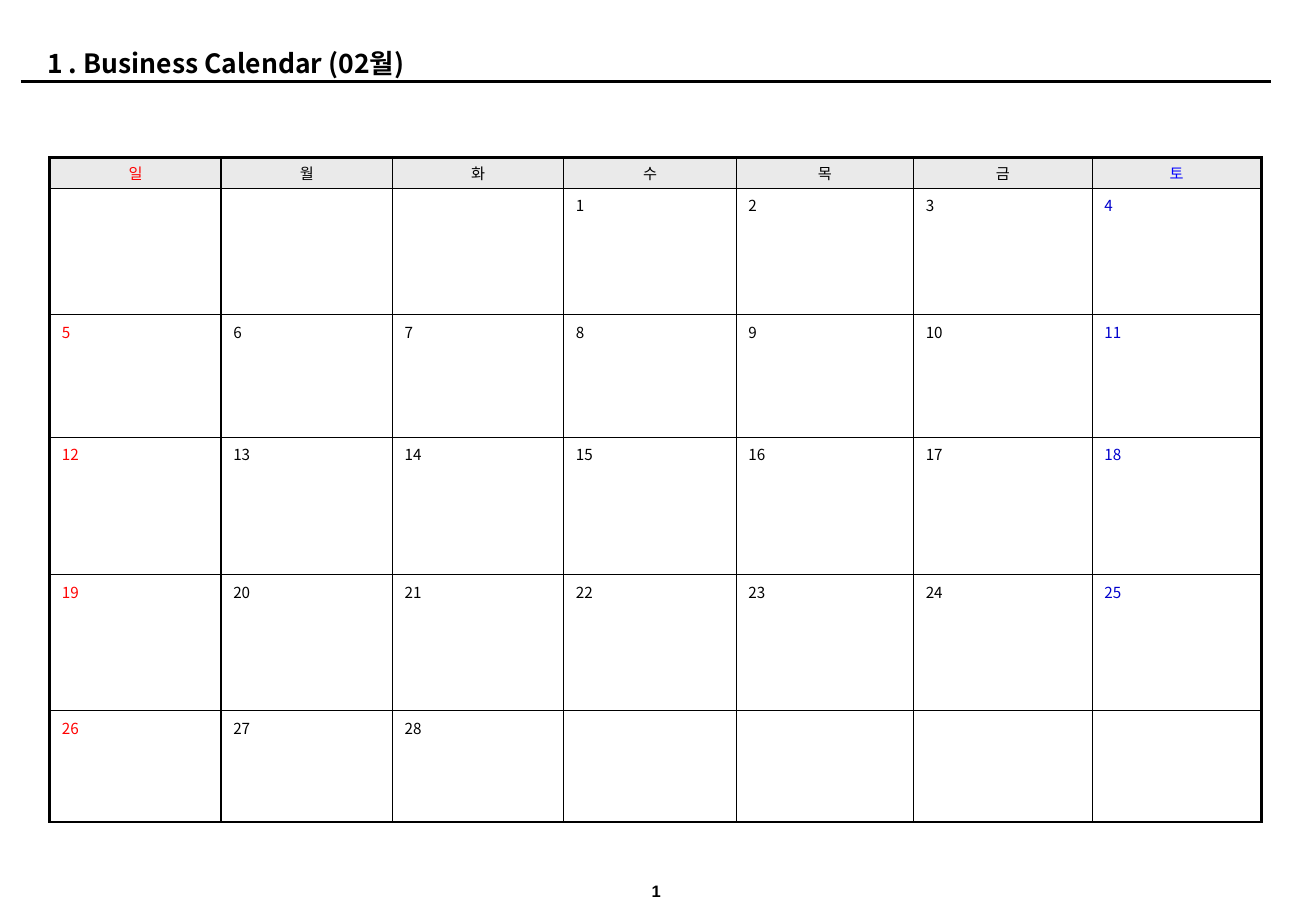
from dataclasses import dataclass

from lxml.etree import SubElement
from pptx import Presentation
from pptx.dml.color import RGBColor
from pptx.enum.shapes import MSO_CONNECTOR as Connector
from pptx.enum.text import MSO_ANCHOR as Anchor, PP_ALIGN as Align
from pptx.oxml.ns import qn
from pptx.util import Pt

SCALE = 9144  # EMU per px, 100 px to the inch


@dataclass(frozen=True)
class Theme:
    ink: str = "000000"
    sunday: str = "FF0000"
    saturday: str = "0000CC"
    saturday_head: str = "0000FF"
    head_fill: str = "EAEAEA"
    body_font: str = "Noto Sans CJK KR"
    number_font: str = "Arial"
    title_size: float = 15.7
    number_size: float = 9.8
    cell_size: float = 9
    rule: float = 1.5
    frame: float = 2
    grid: float = 1


THEME = Theme()
WEEKDAYS = "일월화수목금토"
FIRST_WEEKDAY, DAYS = 3, 28
COLUMNS = [141, 141, 141, 142, 146, 147, 139]
ROWS = [25, 104, 101, 113, 112, 92]


def px(length):
    return length * SCALE


def write(frame, text, *, size, color=THEME.ink, font=THEME.body_font,
          bold=False, align=Align.LEFT):
    paragraph = frame.paragraphs[0]
    paragraph.alignment = align
    run = paragraph.add_run()
    run.text = text
    run.font.size, run.font.bold, run.font.name = Pt(size), bold, font
    run.font.color.rgb = RGBColor.from_string(color)
    SubElement(run.font._element, qn("a:ea"), typeface=font)


def add_label(slide, box, text, *, inset=(0, 0), wrap=False, **style):
    label = slide.shapes.add_textbox(*map(px, box)).text_frame
    label.word_wrap = wrap
    label.vertical_anchor = Anchor.MIDDLE
    label.margin_left = label.margin_right = px(inset[0])
    label.margin_top = label.margin_bottom = px(inset[1])
    write(label, text, **style)


def add_header(slide, box):
    left, top, width, height = box
    # Rule under the title
    rule = slide.shapes.add_connector(
        Connector.STRAIGHT, px(left), px(top + height),
        px(left + width), px(top + height))
    rule.line.color.rgb = RGBColor.from_string(THEME.ink)
    rule.line.width = Pt(THEME.rule)
    SubElement(rule._element.spPr, qn("a:effectLst"))
    # Title
    add_label(slide, (left + 12, top, 958, 36), "1 . Business Calendar (02월)",
              inset=(10, 5), wrap=True, size=THEME.title_size, bold=True)


def set_borders(cell, widths):
    props = cell._tc.get_or_add_tcPr()
    for place, (side, width) in enumerate(widths.items()):
        line = SubElement(props, qn(f"a:ln{side}"), w=str(Pt(width)))
        fill = SubElement(line, qn("a:solidFill"))
        SubElement(fill, qn("a:srgbClr"), val=THEME.ink)
        props.insert(place, line)


def add_calendar(slide, box):
    table = slide.shapes.add_table(len(ROWS), len(COLUMNS),
                                   *map(px, box)).table
    table.first_row = table.horz_banding = False
    for column, width in zip(table.columns, COLUMNS):
        column.width = px(width)
    for row, height in zip(table.rows, ROWS):
        row.height = px(height)

    for week in range(len(ROWS)):
        for weekday, name in enumerate(WEEKDAYS):
            cell = table.cell(week, weekday)
            is_head = week == 0
            is_saturday = weekday == len(WEEKDAYS) - 1
            cell.margin_left = cell.margin_right = px(10)
            cell.margin_top = cell.margin_bottom = px(2 if is_head else 5)

            # Fill and borders: heavy at the left, right and top edges
            if is_head:
                cell.fill.solid()
                cell.fill.fore_color.rgb = RGBColor.from_string(THEME.head_fill)
                cell.vertical_anchor = Anchor.MIDDLE
            else:
                cell.fill.background()
            set_borders(cell, {
                "L": THEME.frame if weekday == 0 else THEME.grid,
                "R": THEME.frame if is_saturday else THEME.grid,
                "T": THEME.frame if is_head else THEME.grid,
                "B": THEME.grid,
            })

            # Weekday name or date
            color = THEME.ink
            if weekday == 0:
                color = THEME.sunday
            elif is_saturday:
                color = THEME.saturday_head if is_head else THEME.saturday
            day = (week - 1) * len(WEEKDAYS) + weekday - FIRST_WEEKDAY + 1
            if is_head:
                write(cell.text_frame, name, size=THEME.cell_size,
                      color=color, align=Align.CENTER)
            elif 1 <= day <= DAYS:
                write(cell.text_frame, str(day), size=THEME.cell_size,
                      color=color)


def add_page_number(slide, box):
    add_label(slide, box, "1", size=THEME.number_size, bold=True,
              font=THEME.number_font, align=Align.CENTER, wrap=True)


def main():
    deck = Presentation()
    deck.slide_width, deck.slide_height = px(1083), px(750)
    slide = deck.slides.add_slide(deck.slide_layouts[6])
    add_header(slide, (17, 34, 1029, 33))
    add_calendar(slide, (41, 130, sum(COLUMNS), sum(ROWS)))
    add_page_number(slide, (513, 718, 54, 31))
    deck.save("out.pptx")


if __name__ == "__main__":
    main()
